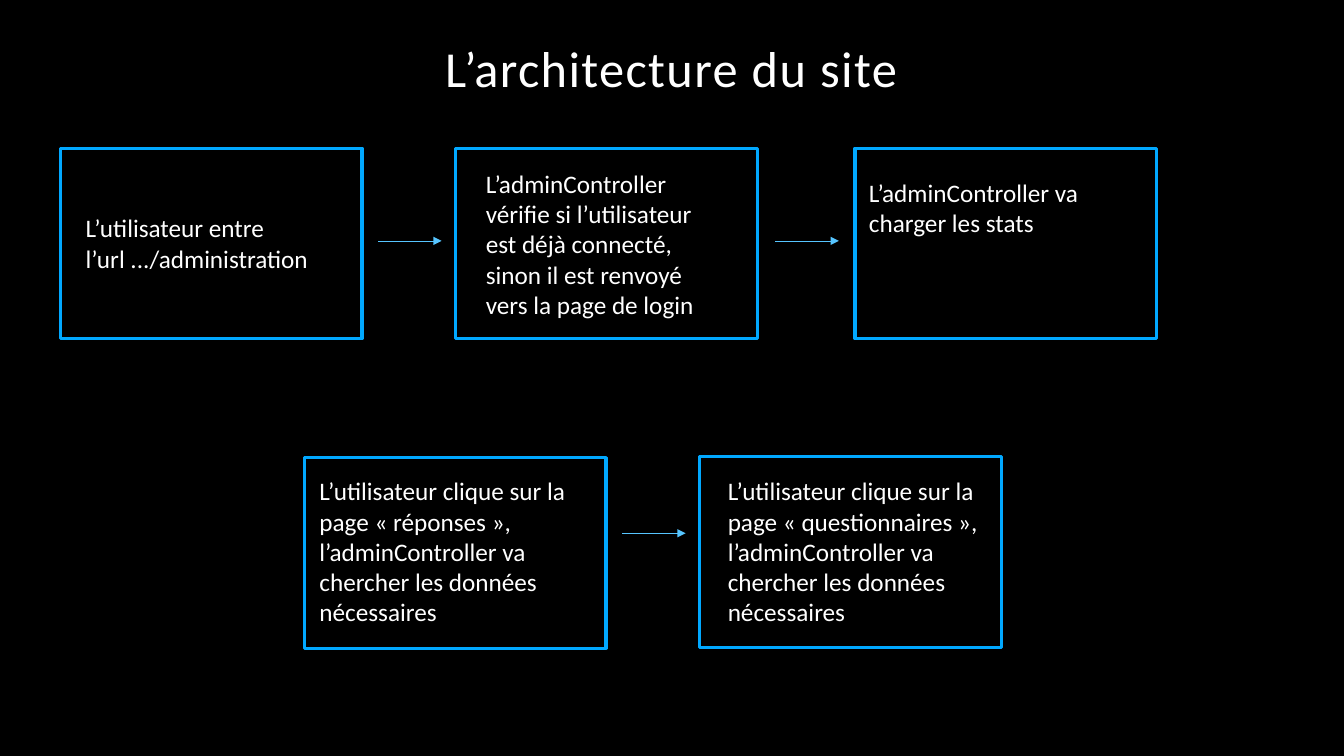
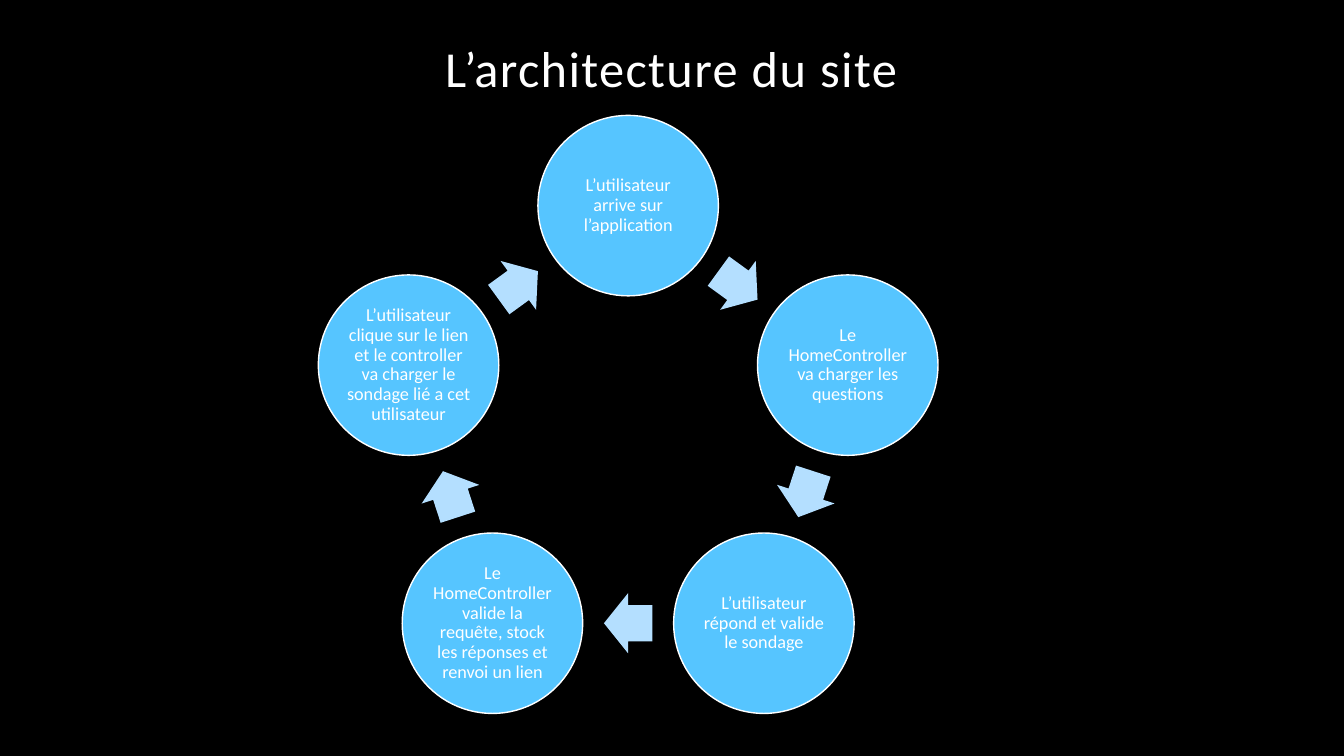
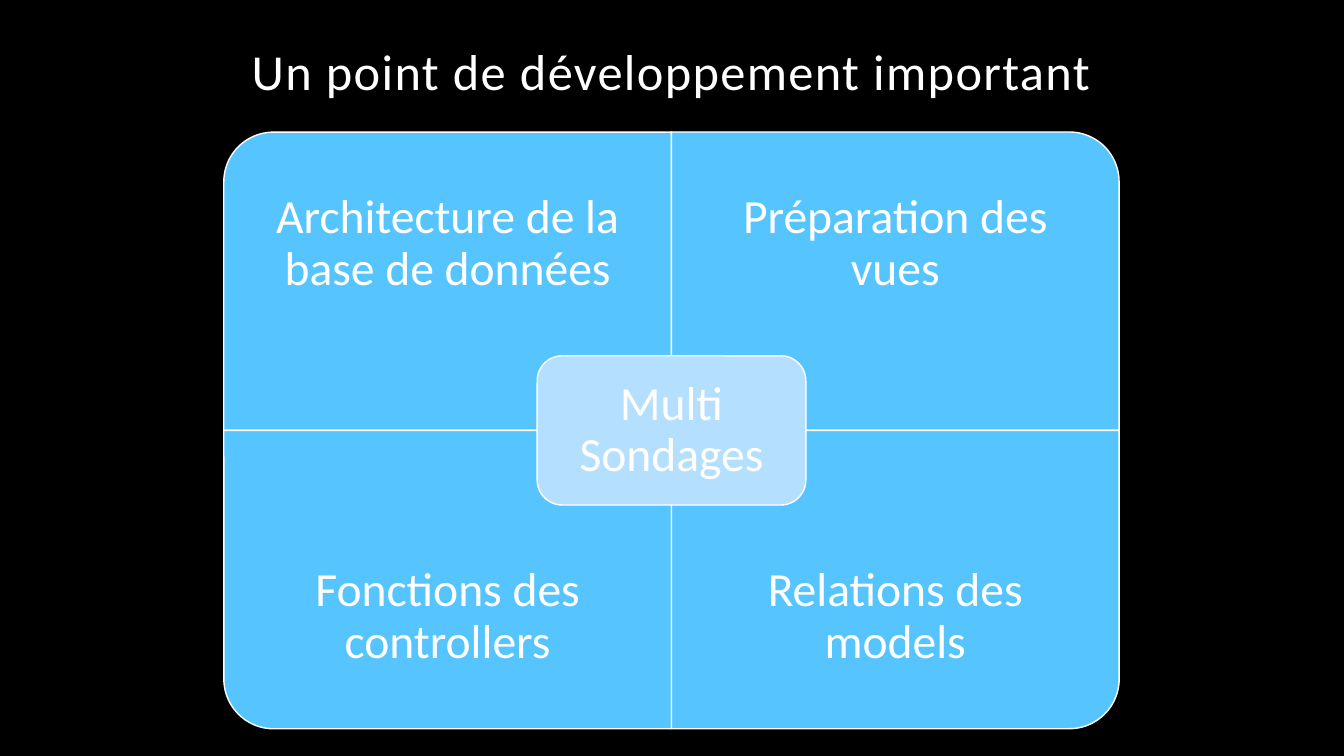
from dataclasses import dataclass
from math import cos, radians, sin

from lxml import etree
from pptx import Presentation
from pptx.dml.color import RGBColor
from pptx.enum.shapes import MSO_CONNECTOR, MSO_SHAPE
from pptx.enum.text import MSO_ANCHOR, MSO_AUTO_SIZE, PP_ALIGN
from pptx.oxml.ns import qn
from pptx.util import Inches, Pt

RECT = MSO_SHAPE.RECTANGLE
OVAL = MSO_SHAPE.OVAL
ROUNDED = MSO_SHAPE.ROUNDED_RECTANGLE
ONE_ROUND = MSO_SHAPE.ROUND_1_RECTANGLE
ARROW = MSO_SHAPE.RIGHT_ARROW
STRAIGHT = MSO_CONNECTOR.STRAIGHT
LEFT, CENTER = PP_ALIGN.LEFT, PP_ALIGN.CENTER
TOP, MIDDLE = MSO_ANCHOR.TOP, MSO_ANCHOR.MIDDLE
NO_FIT, GROW = MSO_AUTO_SIZE.NONE, MSO_AUTO_SIZE.SHAPE_TO_FIT_TEXT


@dataclass(frozen=True)
class Theme:
    font: str = "Calibri"
    back: RGBColor = RGBColor.from_string("000000")
    text: RGBColor = RGBColor.from_string("FFFFFF")
    outline: RGBColor = RGBColor.from_string("01A8FF")
    main: RGBColor = RGBColor.from_string("56C5FF")
    pale: RGBColor = RGBColor.from_string("B4DFFF")
    title_size: int = 36
    large_size: int = 34
    body_size: int = 18
    small_size: int = 13


class Deck:
    """Builds styled slides, holding the theme and the current slide."""

    def __init__(self, theme):
        self.theme = theme
        self.prs = Presentation()
        self.prs.slide_width, self.prs.slide_height = Inches(13.33), Inches(7.5)
        fill = self.prs.slide_master.background.fill
        fill.solid()
        fill.fore_color.rgb = theme.back

    def set_text(self, tf, text, size, align=CENTER, anchor=MIDDLE, inset=None, spacing=0.9):
        tf.text = text
        tf.word_wrap = True
        tf.vertical_anchor = anchor
        if inset is not None:
            tf.margin_left = tf.margin_right = Inches(inset)
            tf.margin_top = tf.margin_bottom = Inches(inset)
        p = tf.paragraphs[0]
        p.alignment, p.line_spacing = align, spacing
        r = p.runs[0]
        r.font.name, r.font.size = self.theme.font, Pt(size)
        r.font.color.rgb = self.theme.text
        return r

    def slide(self, title, top=0.39):
        self.s = self.prs.slides.add_slide(self.prs.slide_layouts[5])
        sp = self.s.shapes.title
        sp.left, sp.top, sp.width, sp.height = map(Inches, (1.66, top, 10, 1.5))
        r = self.set_text(sp.text_frame, title, self.theme.title_size, anchor=TOP)
        r._r.get_or_add_rPr().set("spc", "100")
        sp.text_frame.auto_size = NO_FIT

    def shape(self, kind, cx, cy, w, h, fill=None, line=None, weight=1, rotation=0):
        sp = self.s.shapes.add_shape(
            kind, Inches(cx - w / 2), Inches(cy - h / 2), Inches(w), Inches(h))
        sp.shadow.inherit = False
        sp.rotation = rotation
        if fill is None:
            sp.fill.background()
        else:
            sp.fill.solid()
            sp.fill.fore_color.rgb = fill
        if line is None:
            sp.line.fill.background()
        else:
            sp.line.color.rgb = line
            sp.line.width = Pt(weight)
        return sp

    def textbox(self, text, x, y, w, h, size, **style):
        sp = self.s.shapes.add_textbox(Inches(x), Inches(y), Inches(w), Inches(h))
        self.set_text(sp.text_frame, text, size, **style)
        return sp

    def step(self, x, y, text, text_x, text_y, text_w, text_h):
        w, h = 2.99, 1.89
        self.shape(RECT, x + w / 2, y + h / 2, w, h, line=self.theme.outline, weight=2.25)
        sp = self.textbox(text, text_x, text_y, text_w, text_h, self.theme.body_size,
                          align=LEFT, anchor=TOP, spacing=1)
        sp.text_frame.auto_size = GROW

    def arrow(self, x, y, length=0.63):
        c = self.s.shapes.add_connector(
            STRAIGHT, Inches(x), Inches(y), Inches(x + length), Inches(y))
        c.line.color.rgb = self.theme.main
        c.line.width = Pt(0.5)
        spPr = c._element.spPr
        etree.SubElement(spPr.find(qn("a:ln")), qn("a:tailEnd"), type="triangle")
        etree.SubElement(spPr, qn("a:effectLst"))

    def cycle(self, cx, cy, radius, texts):
        t = self.theme
        turn = 360 / len(texts)
        mid = radius * cos(radians(turn / 2))
        for i, text in enumerate(texts):
            a = radians(i * turn)
            sp = self.shape(OVAL, cx + radius * sin(a), cy - radius * cos(a),
                            1.79, 1.79, t.main, t.text)
            self.set_text(sp.text_frame, text, t.small_size, inset=0.02)
            angle = (i + 0.5) * turn
            a = radians(angle)
            sp = self.shape(ARROW, cx + mid * sin(a), cy - mid * cos(a),
                            0.48, 0.6, t.pale, rotation=angle)
            sp.adjustments[0], sp.adjustments[1] = 0.6, 0.5

    def matrix(self, cx, cy, w, h, quadrants, center):
        t = self.theme
        text_h = h * 0.75
        for text, dx, dy, rotation in quadrants:
            x, y = cx + dx * w / 2, cy + dy * h / 2
            size = (h, w) if rotation % 180 else (w, h)
            self.shape(ONE_ROUND, x, y, *size, t.main, t.text, rotation=rotation)
            text_y = cy - h if dy < 0 else cy + h - text_h
            self.textbox(text, x - w / 2, text_y, w, text_h, t.large_size, inset=0.26)
        sp = self.shape(ROUNDED, cx, cy, w * 0.6, h / 2, t.pale, t.text)
        self.set_text(sp.text_frame, center, t.large_size, inset=0.14)


def main():
    deck = Deck(Theme())

    deck.slide("L’architecture du site")
    steps = [
        (0.6, 1.47, "L’utilisateur entre l’url .../administration", 0.75, 2.06, 2.77, 0.71),
        (4.52, 1.47, "L’adminController vérifie si l’utilisateur est déjà connecté, "
         "sinon il est renvoyé vers la page de login", 4.72, 1.62, 2.57, 1.62),
        (8.48, 1.47, "L’adminController va charger les stats", 8.52, 1.71, 2.99, 0.71),
    ]
    pages = [("réponses", 3.02, 4.54, 3.07), ("questionnaires", 6.94, 4.53, 7.12)]
    steps += [
        (x, y, f"L’utilisateur clique sur la page « {page} », l’adminController va "
         "chercher les données nécessaires", text_x, 4.67, 2.9, 1.62)
        for page, x, y, text_x in pages
    ]
    for step in steps:
        deck.step(*step)
    for x, y in [(3.75, 2.39), (7.69, 2.39), (6.17, 5.29)]:
        deck.arrow(x, y)

    deck.slide("L’architecture du site")
    deck.cycle(6.23, 4.33, 2.29, [
        "L’utilisateur arrive sur l’application",
        "Le HomeController va charger les questions",
        "L’utilisateur répond et valide le sondage",
        "Le HomeController valide la requête, stock les réponses et renvoi un lien",
        "L’utilisateur clique sur le lien et le controller va charger le sondage "
        "lié a cet utilisateur",
    ])

    deck.slide("Un point de développement important", top=0.42)
    deck.matrix(6.66, 4.27, 4.44, 2.96, [
        ("Architecture de la base de données", -1, -1, 270),
        ("Préparation des vues", 1, -1, 0),
        ("Fonctions des controllers", -1, 1, 180),
        ("Relations des models", 1, 1, 90),
    ], "Multi Sondages")

    deck.prs.save("out.pptx")


if __name__ == "__main__":
    main()
